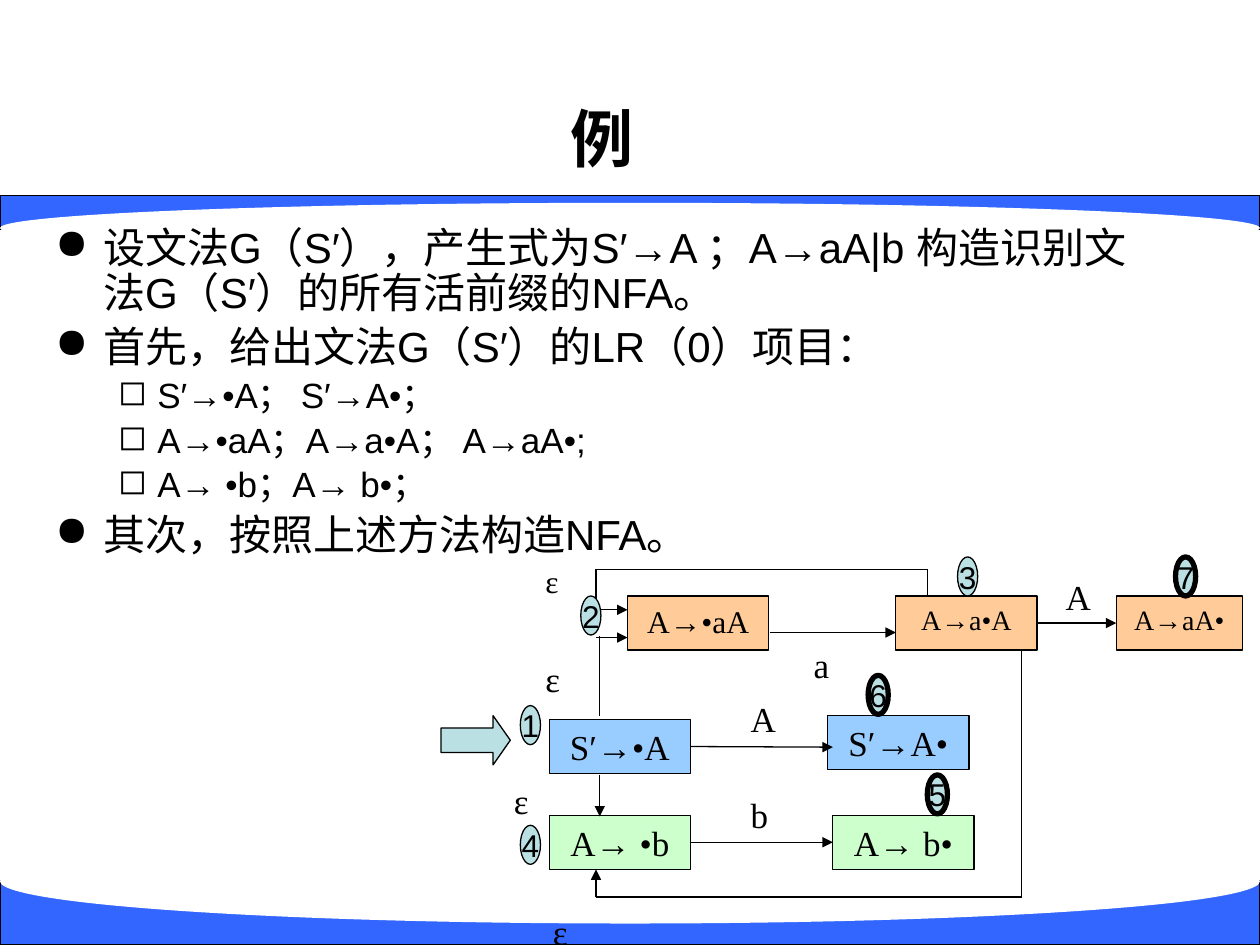
from lxml import etree
from pptx import Presentation
from pptx.dml.color import RGBColor
from pptx.enum.shapes import MSO_CONNECTOR as CONN, MSO_SHAPE as SHAPE
from pptx.enum.text import MSO_ANCHOR as ANCHOR, PP_ALIGN as ALIGN
from pptx.oxml.ns import qn
from pptx.util import Inches, Pt

COLORS = {"black": "000000", "white": "FFFFFF", "band": "3366FF", "orange": "FFCC99",
          "blue": "99CCFF", "green": "CCFFCC", "teal": "BBE0E3"}
SANS, SERIF = "Arial", "Times New Roman"

TITLE = "例"
BODY = [
    (0, "设文法G（S′），产生式为S′→A ；A→aA|b 构造识别文法G（S′）的所有活前缀的NFA。"),
    (0, "首先，给出文法G（S′）的LR（0）项目："),
    (1, "S′→•A； S′→A•；"),
    (1, "A→•aA；A→a•A； A→aA•;"),
    (1, "A→ •b；A→ b•；"),
    (0, "其次，按照上述方法构造NFA。"),
]
LEVELS = [
    {"size": 24, "left": 0.38, "hang": 0.38, "bullet": "●"},
    {"size": 20, "left": 0.81, "hang": 0.31, "bullet": "◻"},
]
BANDS = [
    (SHAPE.RECTANGLE, (0, 1.55, 10, 0.27), "band", 0.75),
    (SHAPE.OVAL, (0, 1.61, 10, 0.4), "white", 0),
    (SHAPE.RECTANGLE, (0, 6.99, 10, 0.51), "band", 0.75),
    (SHAPE.OVAL, (0, 6.66, 10, 0.67), "white", 0),
]
BOX_H = 0.43
STATES = {
    2: ("A→•aA", 4.98, 4.73, 1.12, "orange", 18),
    1: ("S′→•A", 4.36, 5.71, 1.12, "blue", 20),
    4: ("A→ •b", 4.36, 6.47, 1.12, "green", 20),
    6: ("S′→A•", 6.57, 5.68, 1.12, "blue", 20),
    5: ("A→ b•", 6.61, 6.47, 1.12, "green", 20),
    3: ("A→a•A", 7.11, 4.73, 1.12, "orange", 16),
    7: ("A→aA•", 8.86, 4.73, 1, "orange", 16),
}
ROUTES = [
    ([(5.48, 6.68), (6.61, 6.68)], True, 4, 5),
    ([(5.48, 5.93), (6.61, 5.93)], True, 1, None),
    ([(8.23, 4.95), (8.86, 4.95)], True, 3, 7),
    ([(8.11, 5.17), (8.11, 7.12), (4.73, 7.12), (4.73, 6.9)], True, None, None),
    ([(4.73, 5.06), (4.98, 5.06)], True, None, None),
    ([(7.36, 4.73), (7.36, 4.52), (4.73, 4.52), (4.73, 4.84), (4.98, 4.84)], True, None, None),
    ([(4.76, 5.68), (4.76, 5.05)], False, None, None),
    ([(4.76, 6.15), (4.76, 6.48)], True, None, None),
    ([(6.11, 5.02), (7.11, 5.02)], True, None, None),
]
LABELS = [
    ("A", 8.36, 4.52, 20), ("ε", 4.29, 7.18, 20), ("A", 5.86, 5.49, 20), ("b", 5.86, 6.25, 20),
    ("ε", 3.98, 6.14, 20), ("ε", 4.23, 5.17, 20), ("ε", 4.23, 4.41, 18), ("a", 6.36, 5.06, 20),
]
BADGES = [
    (1, 4.13, 5.6), (2, 4.61, 4.73), (4, 4.13, 6.55), (3, 7.6, 4.42),
    (7, 9.33, 4.42), (6, 6.89, 5.36), (5, 7.36, 6.15),
]
ACCEPTING = {5, 6, 7}


def rgb(name):
    return RGBColor.from_string(COLORS[name])


def inches(values):
    return [Inches(v) for v in values]


def set_text(p, text, size, font=SANS, bold=False):
    r = p.add_run()
    r.text = text
    for key, value in {"name": font, "size": Pt(size), "bold": bold}.items():
        setattr(r.font, key, value)
    r.font.color.rgb = rgb("black")


def add_shape(s, kind, box, fill, width=0.75):
    sp = s.shapes.add_shape(kind, *inches(box))
    sp.shadow.inherit = False
    sp.fill.solid()
    sp.fill.fore_color.rgb = rgb(fill)
    if width:
        sp.line.color.rgb = rgb("black")
        sp.line.width = Pt(width)
    else:
        sp.line.fill.background()
    return sp


def add_text(s, box, anchor=ANCHOR.TOP):
    tf = s.shapes.add_textbox(*inches(box)).text_frame
    tf.word_wrap = True
    tf.vertical_anchor = anchor
    return tf


def add_line(s, start, end, arrow):
    c = s.shapes.add_connector(CONN.STRAIGHT, *inches(start + end))
    c.line.color.rgb = rgb("black")
    c.line.width = Pt(0.75)
    if arrow:
        etree.SubElement(c.line._get_or_add_ln(), qn("a:tailEnd"), type="triangle")
    etree.SubElement(c._element.spPr, qn("a:effectLst"))
    return c


def add_body(s):
    tf = add_text(s, (0.34, 1.75, 9, 2.52))
    for i, (level, text) in enumerate(BODY):
        fmt = LEVELS[level]
        p = tf.paragraphs[0] if i == 0 else tf.add_paragraph()
        p.level = level
        p.line_spacing = 0.9
        p.space_before = Pt(0.2 * fmt["size"] if i else 0)
        pPr = p._p.get_or_add_pPr()
        pPr.set("marL", str(Inches(fmt["left"])))
        pPr.set("indent", str(-Inches(fmt["hang"])))
        etree.SubElement(pPr, qn("a:buChar"), char=fmt["bullet"])
        set_text(p, text, fmt["size"])


def add_automaton(s):
    boxes = {}
    for number, (text, x, y, w, fill, size) in STATES.items():
        sp = boxes[number] = add_shape(s, SHAPE.RECTANGLE, (x, y, w, BOX_H), fill)
        tf = sp.text_frame
        tf.vertical_anchor = ANCHOR.TOP
        tf.paragraphs[0].alignment = ALIGN.CENTER
        set_text(tf.paragraphs[0], text, size, SERIF)

    for points, arrow, source, target in ROUTES:
        legs = list(zip(points, points[1:]))
        for i, (start, end) in enumerate(legs):
            c = add_line(s, start, end, arrow and i == len(legs) - 1)
            if source:
                c.begin_connect(boxes[source], 3)
            if target:
                c.end_connect(boxes[target], 1)

    for text, x, y, size in LABELS:
        p = add_text(s, (x, y, 0.38, 0.32)).paragraphs[0]
        p.alignment = ALIGN.JUSTIFY
        set_text(p, text, size, SERIF)

    for number, x, y in BADGES:
        width = 3 if number in ACCEPTING else 0.75
        tf = add_shape(s, SHAPE.OVAL, (x, y, 0.16, 0.31), "teal", width).text_frame
        tf.word_wrap = False
        tf.vertical_anchor = ANCHOR.MIDDLE
        tf.paragraphs[0].alignment = ALIGN.CENTER
        set_text(tf.paragraphs[0], str(number), 18)

    entry = add_shape(s, SHAPE.RIGHT_ARROW, (3.5, 5.68, 0.55, 0.39), "teal")
    entry.adjustments[1] = 0.35


def main():
    prs = Presentation()
    prs.slide_width, prs.slide_height = Inches(10), Inches(7.5)
    s = prs.slides.add_slide(prs.slide_layouts[6])
    for band in BANDS:
        add_shape(s, *band)
    p = add_text(s, (0.65, 0.77, 8.25, 0.64), ANCHOR.MIDDLE).paragraphs[0]
    p.alignment = ALIGN.CENTER
    set_text(p, TITLE, 36, bold=True)
    add_body(s)
    add_automaton(s)
    prs.save("out.pptx")


if __name__ == "__main__":
    main()
